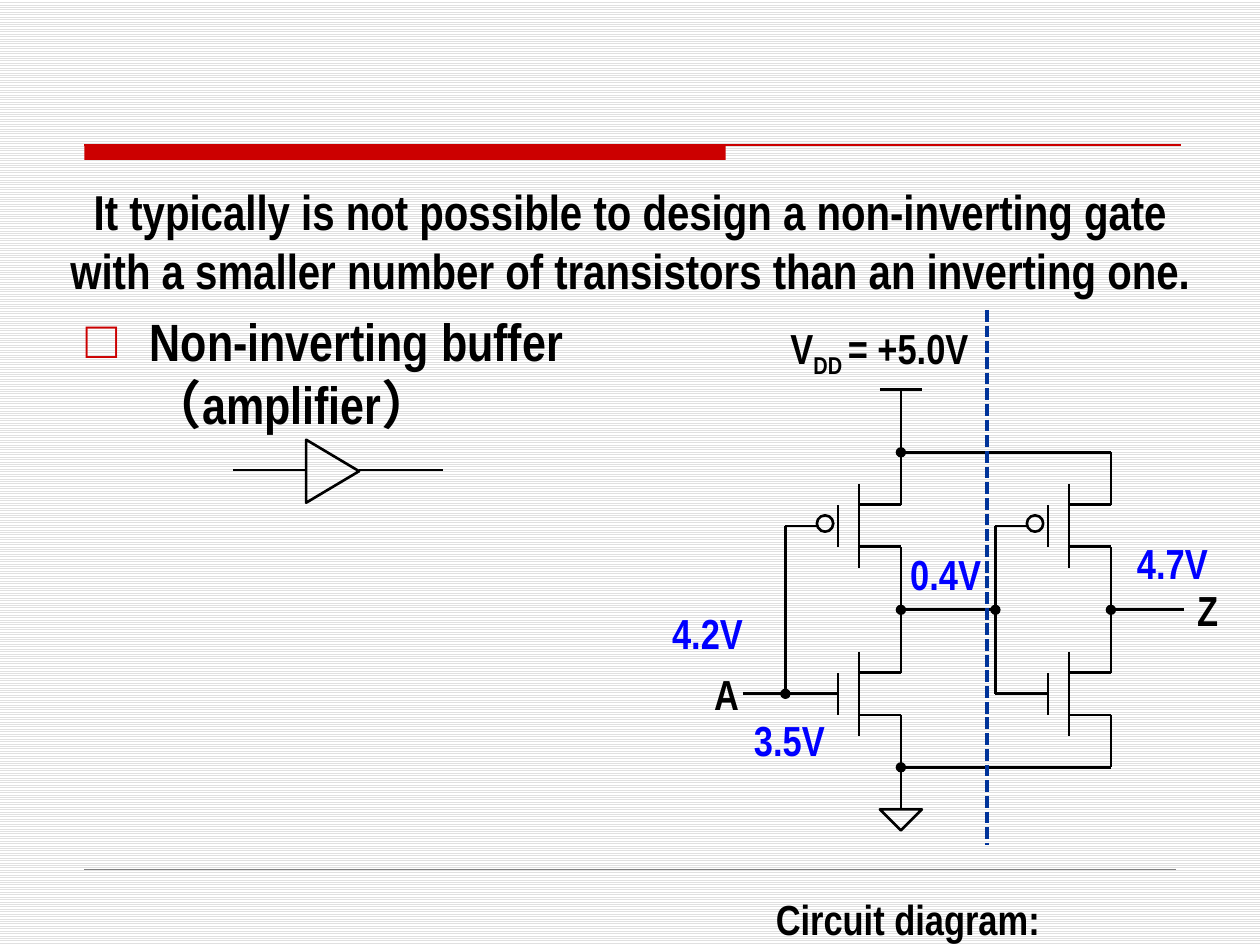
import pptx
import pptx.util
import pptx.dml.color
import pptx.enum.dml
import pptx.enum.shapes
import pptx.enum.text
import pptx.oxml
import pptx.oxml.ns

RGB = pptx.dml.color.RGBColor
BLACK = RGB(0, 0, 0)
WHITE = RGB(255, 255, 255)
PALE = RGB(0xE0, 0xE0, 0xE0)
GRAY = RGB(0x80, 0x80, 0x80)
RED = RGB(0xCC, 0, 0)
BLUE = RGB(0, 0, 255)
NAVY = RGB(0, 0x33, 0x99)

FORM = pptx.enum.shapes.MSO_SHAPE
MID = pptx.enum.text.PP_ALIGN.CENTER
inch = pptx.util.Inches
FONT = {"name": "Arial Narrow", "bold": True}


def add_xml(parent, tag, **attrs):
    node = pptx.oxml.parse_xml(f"<a:{tag} {pptx.oxml.ns.nsdecls('a')}/>")
    for key, value in attrs.items():
        node.set(key, value)
    parent.append(node)
    return node


def set_font(font, size, color):
    for key, value in {**FONT, "size": pptx.util.Pt(size)}.items():
        setattr(font, key, value)
    font.color.rgb = color


def wire(shapes, start, end, color=BLACK, width=1.5, dash=None, dots=()):
    """Draw a line; dots names the ends that carry a node: headEnd, tailEnd."""
    line = shapes.add_connector(pptx.enum.shapes.MSO_CONNECTOR.STRAIGHT,
                                *map(inch, (*start, *end)))
    line.line.color.rgb = color
    line.line.width = pptx.util.Pt(width)
    if dash:
        line.line.dash_style = dash
    for dot in dots:
        add_xml(line.line._get_or_add_ln(), dot, type="oval")
    add_xml(line._element.spPr, "effectLst")


def outline(shapes, form, box, turn=0):
    shape = shapes.add_shape(form, *map(inch, box))
    shape.shadow.inherit = False
    shape.fill.background()
    shape.line.color.rgb = BLACK
    shape.line.width = pptx.util.Pt(1.5)
    shape.rotation = turn


def label(shapes, box, text, size=24, color=BLACK, wrap=False, space=None, sub=None):
    """Add centred text; sub gives the index of a subscript part of a list."""
    frame = shapes.add_textbox(*map(inch, box)).text_frame
    frame.word_wrap = wrap
    para = frame.paragraphs[0]
    para.alignment = MID
    para.line_spacing = space
    for i, part in enumerate([text] if isinstance(text, str) else text):
        run = para.add_run()
        run.text = part
        set_font(run.font, size, color)
        if i == sub:
            run.font._element.set("baseline", "-25000")


def backdrop(slide):
    fill = slide.background.fill
    fill.patterned()
    fill.pattern = pptx.enum.dml.MSO_PATTERN.LIGHT_HORIZONTAL
    fill.fore_color.rgb = PALE
    fill.back_color.rgb = WHITE
    bar = slide.shapes.add_shape(FORM.RECTANGLE, *map(inch, (0.67, 1.15, 5.09, 0.12)))
    bar.shadow.inherit = False
    bar.fill.solid()
    bar.fill.fore_color.rgb = RED
    bar.line.fill.background()
    wire(slide.shapes, (0.67, 1.15), (9.37, 1.15), RED, 0.75)
    wire(slide.shapes, (0.67, 6.9), (9.33, 6.9), GRAY, 0.25)


def bullet(slide, box, text):
    body = slide.placeholders[1]
    for key, value in zip(("left", "top", "width", "height"), box):
        setattr(body, key, inch(value))
    para = body.text_frame.paragraphs[0]
    run = para.add_run()
    run.text = text
    set_font(run.font, 30, BLACK)
    props = para._p.get_or_add_pPr()
    props.set("marL", str(inch(0.51)))
    props.set("indent", str(-inch(0.51)))
    space = add_xml(props, "spcBef")
    add_xml(space, "spcPct", val="20000")
    tint = add_xml(props, "buClr")
    add_xml(tint, "srgbClr", val=str(RED))
    add_xml(props, "buChar", char="□")


def buffer(slide, left, mid):
    """Draw the amplifier symbol, centred on the height mid."""
    shapes = slide.shapes.add_group_shape().shapes
    wire(shapes, (left, mid), (left + 0.58, mid))
    outline(shapes, FORM.ISOSCELES_TRIANGLE, (left + 0.54, mid - 0.2, 0.5, 0.42), 90)
    wire(shapes, (left + 1, mid), (left + 1.67, mid))


def circuit(slide, left, top, side):
    """Draw two inverters in a row on a square grid of 21 by 21 cells."""
    shapes = slide.shapes.add_group_shape().shapes
    cell = side / 21

    def spot(col, row):
        return left + col * cell, top + row * cell

    def link(c1, r1, c2, r2, *dots):
        wire(shapes, spot(c1, r1), spot(c2, r2), dots=dots)

    def switch(col, row):
        """Draw a transistor with its gate plate at col and first arm at row."""
        link(col, row, col, row + 2)
        link(col + 1, row - 1, col + 1, row + 3)
        for arm in (row, row + 2):
            link(col + 1, arm, col + 3, arm)

    for col, feed, dots in ((4.5, 2, ["tailEnd"]), (14.5, 12, [])):
        switch(col, 5.5)
        switch(col, 13.5)
        outline(shapes, FORM.OVAL, (*spot(col - 1, 6), 0.13, 0.13))
        link(col + 3, 7.5, col + 3, 13.5)
        link(col - 1, 6.5, feed, 6.5)
        link(feed, 6.5, feed, 14.5, *dots)

    link(4.5, 14.5, 0, 14.5)
    link(14.5, 14.5, 12, 14.5)
    link(7.5, 5.5, 7.5, 0)
    link(6.5, 0, 8.5, 0)
    link(17.5, 5.5, 17.5, 3)
    link(7.5, 20, 7.5, 15.5)
    link(17.5, 18, 17.5, 15.5)
    outline(shapes, FORM.ISOSCELES_TRIANGLE, (*spot(6.5, 20), 2 * cell, cell), 180)
    for rail in (3, 18):
        link(7.5, rail, 17.5, rail, "headEnd")
    link(7.5, 10.5, 12, 10.5, "headEnd", "tailEnd")
    link(17.5, 10.5, 21, 10.5, "headEnd")

    label(shapes, (*spot(1.5, -3.5), 1.66, 0.5), ["V", "DD ", "= +5.0V"], sub=1)
    label(shapes, (*spot(-2, 13), 0.4, 0.5), "A")
    label(shapes, (*spot(21, 9), 0.37, 0.5), "Z")


def main():
    deck = pptx.Presentation()
    deck.slide_width, deck.slide_height = inch(10), inch(7.5)
    slide = deck.slides.add_slide(deck.slide_layouts[1])
    title = slide.shapes.title._element
    title.getparent().remove(title)

    backdrop(slide)
    bullet(slide, (0.58, 2.4, 5.75, 1.36), "Non-inverting buffer（amplifier）")
    circuit(slide, 5.9, 3.09, 3.5)
    buffer(slide, 1.85, 3.73)
    label(slide.shapes, (0.43, 1.39, 9.14, 1.03),
          "It typically is not possible to design a non-inverting gate with a "
          "smaller number of transistors than an inverting one.", 28, wrap=True)
    label(slide.shapes, (4.92, 6.96, 4.57, 0.54), "Circuit diagram:", wrap=True, space=1.2)
    wire(slide.shapes, (7.83, 2.46), (7.83, 6.71), NAVY, 2.25,
         pptx.enum.dml.MSO_LINE.SQUARE_DOT)
    for left, top, text in ((5.88, 5.62, "3.5V"), (7.12, 4.3, "0.4V"),
                            (8.92, 4.22, "4.7V"), (5.23, 4.77, "4.2V")):
        label(slide.shapes, (left, top, 0.77, 0.51), text, color=BLUE)
    deck.save("out.pptx")


if __name__ == "__main__":
    main()
